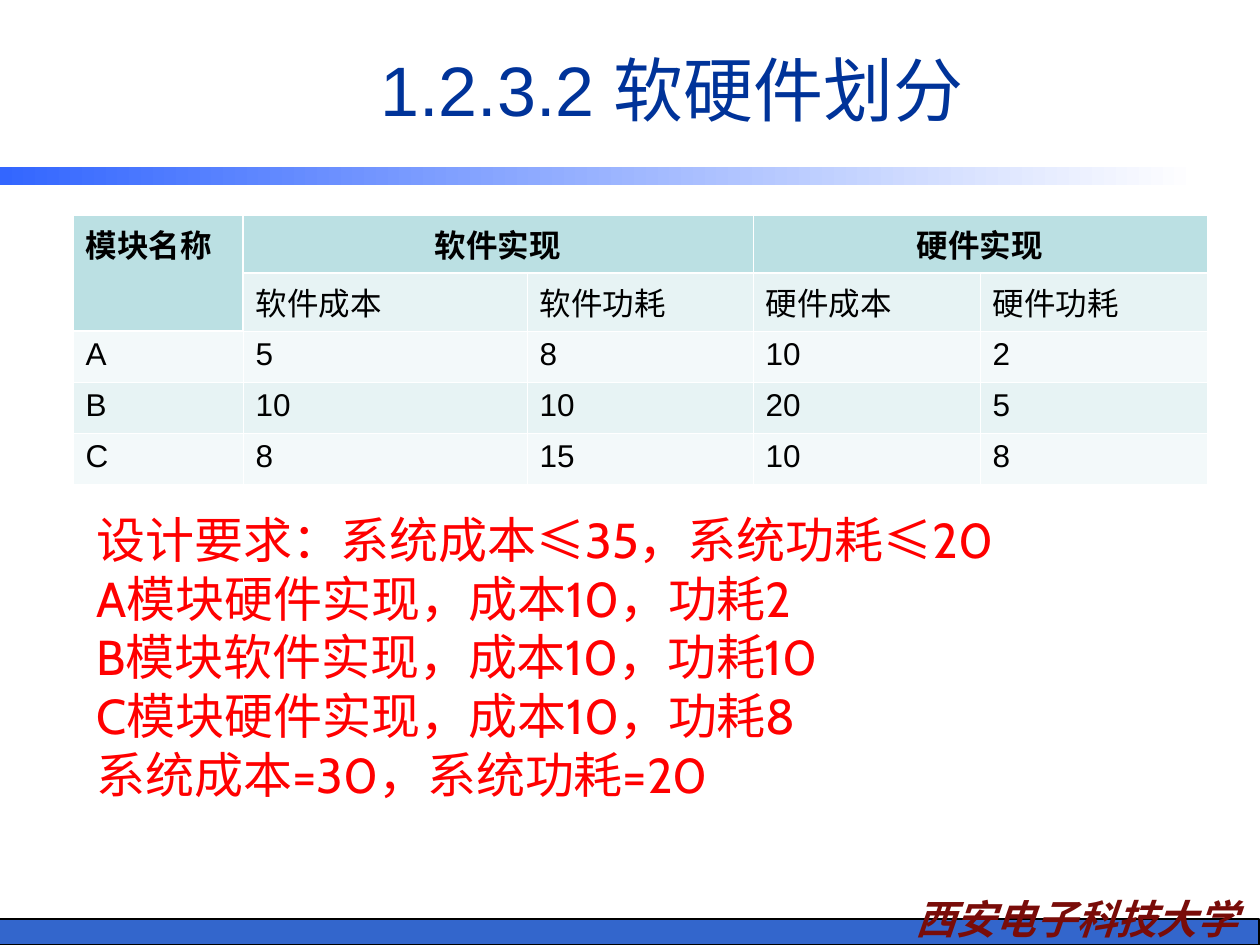
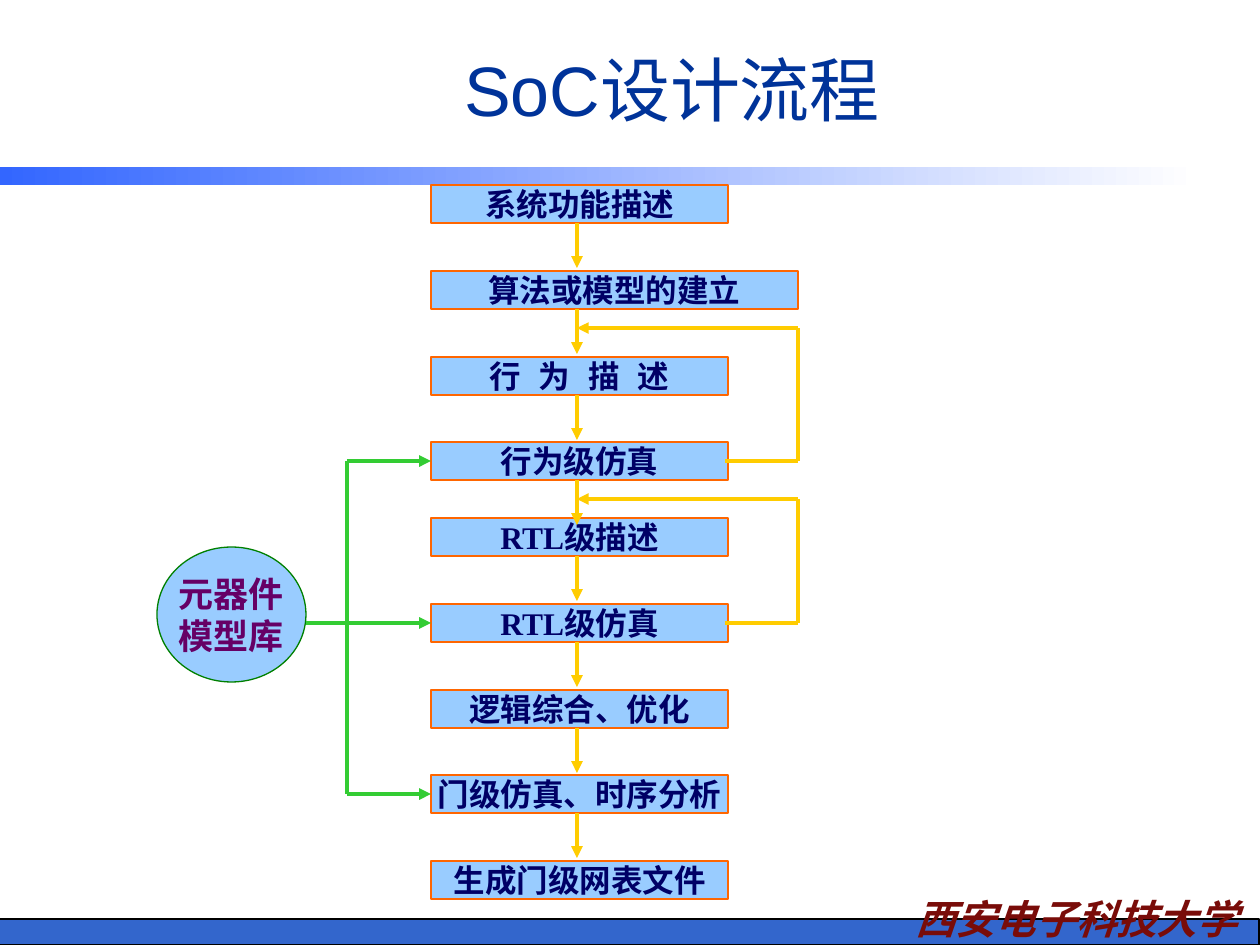
from pptx import Presentation
from pptx.util import Emu, Pt
from pptx.dml.color import RGBColor
from pptx.enum.shapes import MSO_CONNECTOR, MSO_SHAPE
from pptx.enum.text import MSO_ANCHOR, PP_ALIGN
from pptx.oxml.ns import qn
from lxml import etree

PX = 914400 / 126

WHITE = RGBColor(0xFF, 0xFF, 0xFF)
BLACK = RGBColor(0x00, 0x00, 0x00)
FOOTER_BLUE = RGBColor(0x33, 0x66, 0xCC)
BAND_BLUE = RGBColor(0x33, 0x66, 0xFF)
TITLE_BLUE = RGBColor(0x00, 0x33, 0x99)
MAROON = RGBColor(0x79, 0x0C, 0x09)
RED = RGBColor(0xFF, 0x00, 0x00)
HEADER_FILL = RGBColor(0xBB, 0xE0, 0xE3)
DARK_ROW = RGBColor(0xE7, 0xF3, 0xF4)
LIGHT_ROW = RGBColor(0xF3, 0xF9, 0xFA)
BOX_FILL = RGBColor(0x99, 0xCC, 0xFF)
BOX_LINE = RGBColor(0xFF, 0x66, 0x00)
NAVY = RGBColor(0x00, 0x00, 0x66)
YELLOW = RGBColor(0xFF, 0xCC, 0x00)
GREEN = RGBColor(0x33, 0xCC, 0x33)
DARK_GREEN = RGBColor(0x00, 0x80, 0x00)
PURPLE = RGBColor(0x66, 0x00, 0x66)

CJK = "Noto Sans CJK SC"


def write(tf, lines, size, latin, east, color, bold=False, align=PP_ALIGN.LEFT):
    for i, line in enumerate(lines):
        p = tf.paragraphs[0] if i == 0 else tf.add_paragraph()
        p.alignment = align
        r = p.add_run()
        r.text = line
        r.font.size = Pt(size)
        r.font.bold = bold
        r.font.color.rgb = color
        r.font.name = latin
        etree.SubElement(r.font._element, qn("a:ea"), typeface=east)


def add_line(s, x1, y1, x2, y2, color, arrow=False):
    cn = s.shapes.add_connector(MSO_CONNECTOR.STRAIGHT,
                                *(Emu(round(v * PX)) for v in (x1, y1, x2, y2)))
    cn.line.color.rgb = color
    cn.line.width = Pt(2.25)
    if arrow:
        etree.SubElement(cn.line._get_or_add_ln(), qn("a:tailEnd"), type="triangle")
    etree.SubElement(cn._element.spPr, qn("a:effectLst"))


prs = Presentation()
prs.slide_width = Emu(round(1260 * PX))
prs.slide_height = Emu(round(945 * PX))

# Shared footer, band and title
slides = []
for title in ("1.2.3.2 软硬件划分", "SoC设计流程"):
    s = prs.slides.add_slide(prs.slide_layouts[6])
    slides.append(s)

    sp = s.shapes.add_shape(MSO_SHAPE.RECTANGLE,
                            *(Emu(round(v * PX)) for v in (-1, 919, 1260, 26)))
    sp.shadow.inherit = False
    sp.fill.solid()
    sp.fill.fore_color.rgb = FOOTER_BLUE
    sp.line.color.rgb = BLACK
    sp.line.width = Pt(0.75)

    sp = s.shapes.add_textbox(*(Emu(round(v * PX)) for v in (878, 888, 397, 62)))
    sp.text_frame.word_wrap = True
    write(sp.text_frame, ["西安电子科技大学"], 23, CJK, CJK, MAROON, True, PP_ALIGN.CENTER)
    sp.text_frame.paragraphs[0].runs[0].font.italic = True

    sp = s.shapes.add_shape(MSO_SHAPE.RECTANGLE,
                            *(Emu(round(v * PX)) for v in (0, 167, 1198, 18)))
    sp.shadow.inherit = False
    sp.line.fill.background()
    sp.fill.gradient()
    sp.fill.gradient_angle = 0
    for stop, color in zip(sp.fill.gradient_stops, (BAND_BLUE, WHITE)):
        stop.color.rgb = color

    sp = s.shapes.add_textbox(*(Emu(round(v * PX)) for v in (168, 21, 1008, 136)))
    tf = sp.text_frame
    tf.word_wrap = True
    tf.vertical_anchor = MSO_ANCHOR.MIDDLE
    write(tf, [title], 40, "Arial", CJK, TITLE_BLUE, align=PP_ALIGN.CENTER)

# Slide 1: cost and power table
s = slides[0]
rows = [
    ["模块名称", "软件实现", "", "硬件实现", ""],
    ["", "软件成本", "软件功耗", "硬件成本", "硬件功耗"],
    ["A", "5", "8", "10", "2"],
    ["B", "10", "10", "20", "5"],
    ["C", "8", "15", "10", "8"],
]
col_widths = [170, 284, 226, 227, 227]
row_heights = [58, 58, 51, 51, 51]
tbl = s.shapes.add_table(5, 5, *(Emu(round(v * PX)) for v in (73, 215, 1134, 269))).table
for col, w in zip(tbl.columns, col_widths):
    col.width = Emu(round(w * PX))
for row, h in zip(tbl.rows, row_heights):
    row.height = Emu(round(h * PX))
tbl.cell(0, 0).merge(tbl.cell(1, 0))
tbl.cell(0, 1).merge(tbl.cell(0, 2))
tbl.cell(0, 3).merge(tbl.cell(0, 4))

for i, row in enumerate(rows):
    for j, text in enumerate(row):
        cell = tbl.cell(i, j)
        header = i == 0 or (i == 1 and j == 0)
        thick = {
            "lnL": j == 1 and i < 2,
            "lnR": j == 0 and i < 2,
            "lnT": i == 1 or (i == 2 and j == 0),
            "lnB": header,
        }
        for side, is_thick in thick.items():
            ln = etree.SubElement(cell._tc.get_or_add_tcPr(), qn(f"a:{side}"),
                                  w=str(Pt(1.47 if is_thick else 0.45)))
            fill = etree.SubElement(ln, qn("a:solidFill"))
            etree.SubElement(fill, qn("a:srgbClr"), val=str(WHITE))
        cell.fill.solid()
        cell.fill.fore_color.rgb = HEADER_FILL if header else (LIGHT_ROW, DARK_ROW)[i % 2]
        if text:
            align = PP_ALIGN.CENTER if i == 0 and j > 0 else PP_ALIGN.LEFT
            write(cell.text_frame, [text], 18, "Arial", CJK, BLACK, header, align)

# Slide 1: requirement and solution
sp = s.shapes.add_textbox(*(Emu(round(v * PX)) for v in (84, 503, 1111, 307)))
sp.text_frame.word_wrap = True
write(sp.text_frame, [
    "设计要求：系统成本≤35，系统功耗≤20",
    "A模块硬件实现，成本10，功耗2",
    "B模块软件实现，成本10，功耗10",
    "C模块硬件实现，成本10，功耗8",
    "系统成本=30，系统功耗=20",
], 28, "Cabin", "Cabin", RED)

# Slide 2: flow steps and the model library
s = slides[1]
BOX_X, BOX_W, BOX_H = 431, 297, 38
AXIS_X, LOOP_X, BRANCH_X = 577, 798, 347
steps = [
    ("系统功能描述", 185), ("算法或模型的建立", 271), ("行 为 描 述", 357),
    ("行为级仿真", 442), ("RTL级描述", 518), ("RTL级仿真", 604),
    ("逻辑综合、优化", 690), ("门级仿真、时序分析", 775), ("生成门级网表文件", 861),
]
nodes = [(MSO_SHAPE.RECTANGLE, [text], BOX_X, y, LOOP_X - BOX_X if i == 1 else BOX_W,
          BOX_H, BOX_LINE, 18, "Times New Roman", NAVY)
         for i, (text, y) in enumerate(steps)]
nodes.append((MSO_SHAPE.OVAL, ["元器件", "模型库"], 157, 547, 149, 135,
              DARK_GREEN, 20, "DejaVu Sans", PURPLE))
for kind, lines, x, y, w, h, outline, size, latin, color in nodes:
    sp = s.shapes.add_shape(kind, *(Emu(round(v * PX)) for v in (x, y, w, h)))
    sp.shadow.inherit = False
    sp.fill.solid()
    sp.fill.fore_color.rgb = BOX_FILL
    sp.line.color.rgb = outline
    sp.line.width = Pt(0.75)
    tf = sp.text_frame
    tf.word_wrap = False
    tf.vertical_anchor = MSO_ANCHOR.MIDDLE
    write(tf, lines, size, latin, "DejaVu Sans", color, True, PP_ALIGN.CENTER)
    if lines == ["行 为 描 述"]:
        tf.paragraphs[0].runs[0].font._element.set("spc", "200")

# Arrows down the main axis
for text, y in steps[:-1]:
    add_line(s, AXIS_X, y + BOX_H, AXIS_X, y + BOX_H + 45, YELLOW, True)

# Feedback loops from each simulation to the step above
for start_y, end_y in ((623, 499), (461, 328)):
    add_line(s, 725, start_y, LOOP_X, start_y, YELLOW)
    add_line(s, LOOP_X, start_y, LOOP_X, end_y, YELLOW)
    add_line(s, LOOP_X, end_y, AXIS_X, end_y, YELLOW, True)

# Library feeds the three simulations
add_line(s, BRANCH_X, 461, BRANCH_X, 794, GREEN)
for x, y in ((BRANCH_X, 461), (306, 623), (BRANCH_X, 794)):
    add_line(s, x, y, BOX_X, y, GREEN, True)

prs.save("out.pptx")
